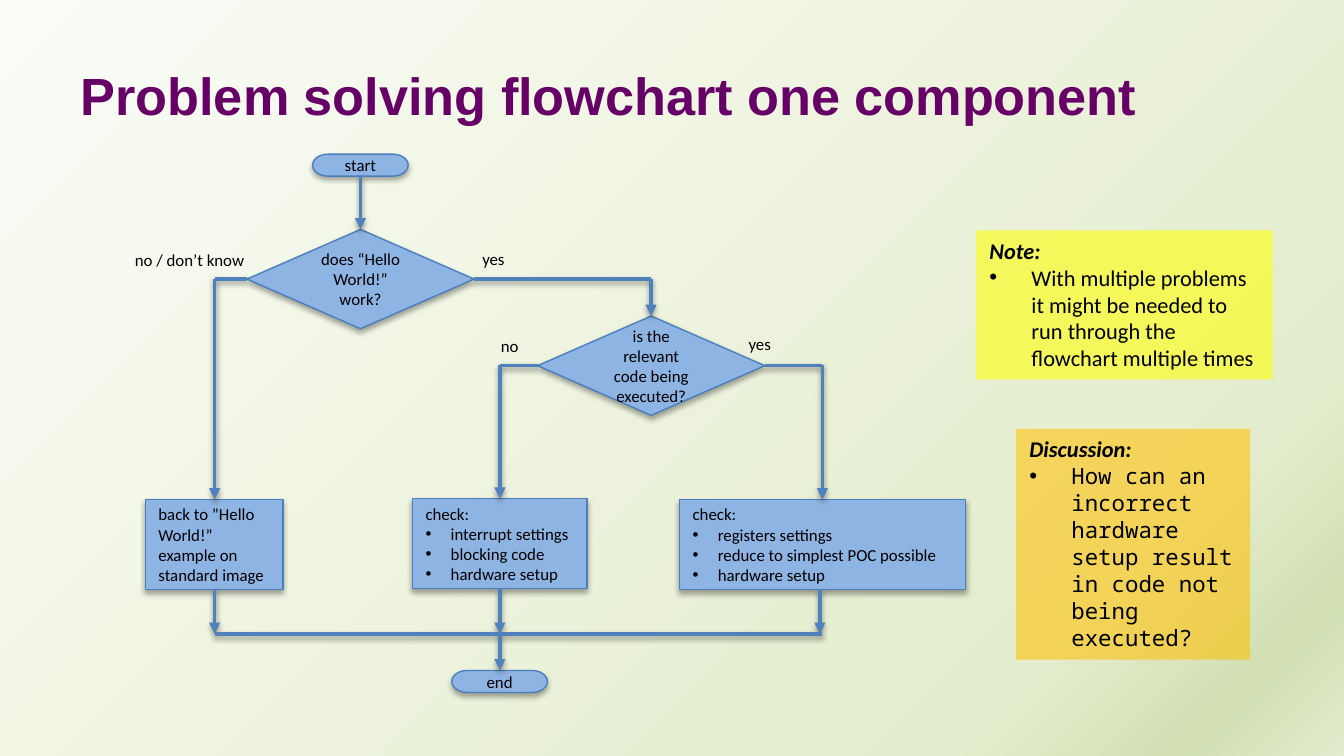
"""Draw the problem solving flowchart slide."""
from dataclasses import dataclass
from itertools import pairwise

import pptx
import pptx.dml.color
import pptx.enum.shapes
import pptx.enum.text
import pptx.oxml
import pptx.oxml.ns
import pptx.slide
import pptx.util
from lxml import etree

Pt = pptx.util.Pt
KIND = pptx.enum.shapes.MSO_SHAPE
ALIGN = pptx.enum.text.PP_ALIGN
MIDDLE = pptx.enum.text.MSO_ANCHOR.MIDDLE
TOP = pptx.enum.text.MSO_ANCHOR.TOP
ROUND = KIND.FLOWCHART_TERMINATOR
ASK = KIND.FLOWCHART_DECISION
STEP = KIND.FLOWCHART_PROCESS
SIZES = {ROUND: (51.2, 11.8), ASK: (121.7, 53.2)}


@dataclass
class Node:
    kind: KIND
    left: float
    top: float
    lines: tuple[str, ...]
    width: float = 0
    height: float = 48.2


@dataclass
class Wire:
    points: tuple[tuple[float, float], ...]
    head: bool = True


@dataclass
class Label:
    text: str
    left: float
    top: float
    width: float = 28


@dataclass
class Note:
    left: float
    top: float
    width: float
    height: float
    fill: str
    title: str
    text: str
    font: str


NODES = [
    Node(ROUND, 167.5, 82.6, ("start",)),
    Node(ASK, 132.3, 122.9, ("does “Hello World!” work?",)),
    Node(STEP, 77.8, 267.6, ("back to ”Hello World!” example on standard image",), 73.8),
    Node(ROUND, 242.1, 359.2, ("end",)),
    Node(ASK, 288, 169.3, ("is the relevant code being executed?",)),
    Node(STEP, 220.9, 267.2,
         ("check:", "interrupt settings", "blocking code", "hardware setup"), 93.6),
    Node(STEP, 364, 267.6,
         ("check:", "registers settings", "reduce to simplest POC possible",
          "hardware setup"), 153.3),
]
ROW1, ROW2, JOIN = 149.5, 195.8, 339.6
WEST, MID, EAST = 115, 267.8, 440.6
WIRES = [
    Wire(((193.1, 94.4), (193.1, 122.9))),
    Wire(((254, ROW1), (348.8, ROW1), (348.8, 169.3))),
    Wire(((132.3, ROW1), (WEST, ROW1), (WEST, 267.6))),
    Wire(((409.7, ROW2), (EAST, ROW2), (EAST, 267.6))),
    Wire(((288, ROW2), (MID, ROW2), (MID, 267.2))),
    *(Wire(((x, 315.6), (x, JOIN))) for x in (WEST, MID, 439.2)),
    Wire(((WEST, JOIN), (EAST, JOIN)), False),
    Wire(((MID, JOIN), (MID, 359.2))),
]
LABELS = [
    Label("yes", 251.3, 129.8),
    Label("no / don’t know", 65.2, 130.2, 77),
    Label("yes", 394, 175.2),
    Label("no", 261.2, 176.2),
]
NOTES = [
    Note(523, 123.4, 158.8, 79.9, "FFFF00", "Note:",
         "With multiple problems it might be needed to run through the "
         "flowchart multiple times", "Calibri"),
    Note(544.4, 229.8, 125.4, 123.6, "FFC000", "Discussion:",
         "How can an incorrect hardware setup result in code not being "
         "executed?", "Noto Sans Mono"),
]


def tint(code: str) -> pptx.dml.color.RGBColor:
    """Turn a hex string into a colour."""
    return pptx.dml.color.RGBColor.from_string(code)


def add(parent, tag: str, **attrs):
    """Append an element with the given attributes."""
    return etree.SubElement(parent, pptx.oxml.ns.qn(tag),
                            {key: str(val) for key, val in attrs.items()})


def shade(effects, alpha: int, dist: float) -> None:
    """Add a soft shadow that falls straight down."""
    shadow = add(effects, "a:outerShdw", blurRad=Pt(3.1), dist=Pt(dist),
                 dir=5400000, rotWithShape=0)
    add(add(shadow, "a:srgbClr", val="000000"), "a:alpha", val=alpha * 1000)


def style(para, size: float, face: str = "Calibri", color: str = "000000",
          bold: bool = False, slant: bool = False) -> None:
    """Format every run of a paragraph."""
    for run in para.runs:
        font = run.font
        font.size, font.name = Pt(size), face
        font.bold, font.italic = bold, slant
        font.color.rgb = tint(color)


def fill_text(frame, lines: tuple[str, ...], indent: float) -> list:
    """Write a first line followed by bulleted lines."""
    frame.word_wrap = True
    frame.text = "\n".join(lines)
    for para in frame.paragraphs:
        para.alignment = ALIGN.LEFT
    for para in frame.paragraphs[1:]:
        props = para._p.get_or_add_pPr()
        props.set("marL", str(Pt(indent)))
        props.set("indent", str(-Pt(indent)))
        add(props, "a:buFont", typeface="Arial")
        add(props, "a:buChar", char="•")
    return list(frame.paragraphs)


def draw_node(slide: pptx.slide.Slide, node: Node) -> None:
    """Draw one flowchart box with its text."""
    width, height = SIZES.get(node.kind, (node.width, node.height))
    shape = slide.shapes.add_shape(
        node.kind, Pt(node.left), Pt(node.top), Pt(width), Pt(height))
    shape.fill.solid()
    shape.fill.fore_color.rgb = tint("8EB4E3")
    shape.line.color.rgb = tint("4B7EBC")
    shape.line.width = Pt(0.75)
    shape.shadow.inherit = False
    shade(shape.element.spPr.find(pptx.oxml.ns.qn("a:effectLst")), 35, 1.8)
    shape.text_frame.vertical_anchor = MIDDLE
    for para in fill_text(shape.text_frame, node.lines, 13.5):
        if node.kind != STEP:
            para.alignment = ALIGN.CENTER
        style(para, 9)


def draw_wire(slide: pptx.slide.Slide, wire: Wire) -> None:
    """Draw straight lines through the points of a wire."""
    for start, end in pairwise(wire.points):
        line = slide.shapes.add_connector(
            pptx.enum.shapes.MSO_CONNECTOR.STRAIGHT,
            *(Pt(val) for val in start + end))
        line.line.color.rgb = tint("4F81BD")
        line.line.width = Pt(2)
        if wire.head and end == wire.points[-1]:
            add(line.line._get_or_add_ln(), "a:tailEnd", type="triangle")
        shade(add(line.element.spPr, "a:effectLst"), 38, 1.6)


def draw_label(slide: pptx.slide.Slide, label: Label) -> None:
    """Write the answer beside a branch."""
    box = slide.shapes.add_textbox(
        Pt(label.left), Pt(label.top), Pt(label.width), Pt(18))
    style(fill_text(box.text_frame, (label.text,), 0)[0], 9)


def draw_note(slide: pptx.slide.Slide, note: Note) -> None:
    """Draw a translucent note with a title and a bullet."""
    shape = slide.shapes.add_shape(
        KIND.RECTANGLE, Pt(note.left), Pt(note.top), Pt(note.width), Pt(note.height))
    shape.fill.solid()
    shape.fill.fore_color.rgb = tint(note.fill)
    color = shape.element.spPr.find(".//" + pptx.oxml.ns.qn("a:srgbClr"))
    add(color, "a:alpha", val=57000)
    shape.line.fill.background()
    shape.shadow.inherit = False
    shape.text_frame.vertical_anchor = TOP
    head, body = fill_text(shape.text_frame, (note.title, note.text), 22.5)
    style(head, 12, bold=True, slant=True)
    style(body, 12, note.font)


def paint_back(slide: pptx.slide.Slide) -> None:
    """Fill the background with a diagonal gradient."""
    fill = slide.background.fill
    fill.gradient()
    fill.gradient_angle = 315
    stops = slide.element.find(".//" + pptx.oxml.ns.qn("a:gsLst"))
    stops[:] = []
    for pos, code in ((0, "FAFCF7"), (81, "E4EDCD"), (92, "D2E0B4"), (100, "E1EBCD")):
        add(add(stops, "a:gs", pos=pos * 1000), "a:srgbClr", val=code)


def main() -> None:
    """Build and save the slide."""
    deck = pptx.Presentation()
    deck.slide_width, deck.slide_height = Pt(720), Pt(405)
    slide = deck.slides.add_slide(deck.slide_layouts[5])
    paint_back(slide)
    title = slide.shapes.title
    title.left, title.top, title.width, title.height = Pt(36), Pt(16.5), Pt(648), Pt(68)
    title.text_frame.vertical_anchor = MIDDLE
    para = fill_text(title.text_frame, ("Problem solving flowchart one component",), 0)[0]
    style(para, 28, "Arial", "660066", bold=True)
    for draw, items in ((draw_node, NODES), (draw_wire, WIRES),
                        (draw_label, LABELS), (draw_note, NOTES)):
        for item in items:
            draw(slide, item)
    deck.save("out.pptx")


if __name__ == "__main__":
    main()
